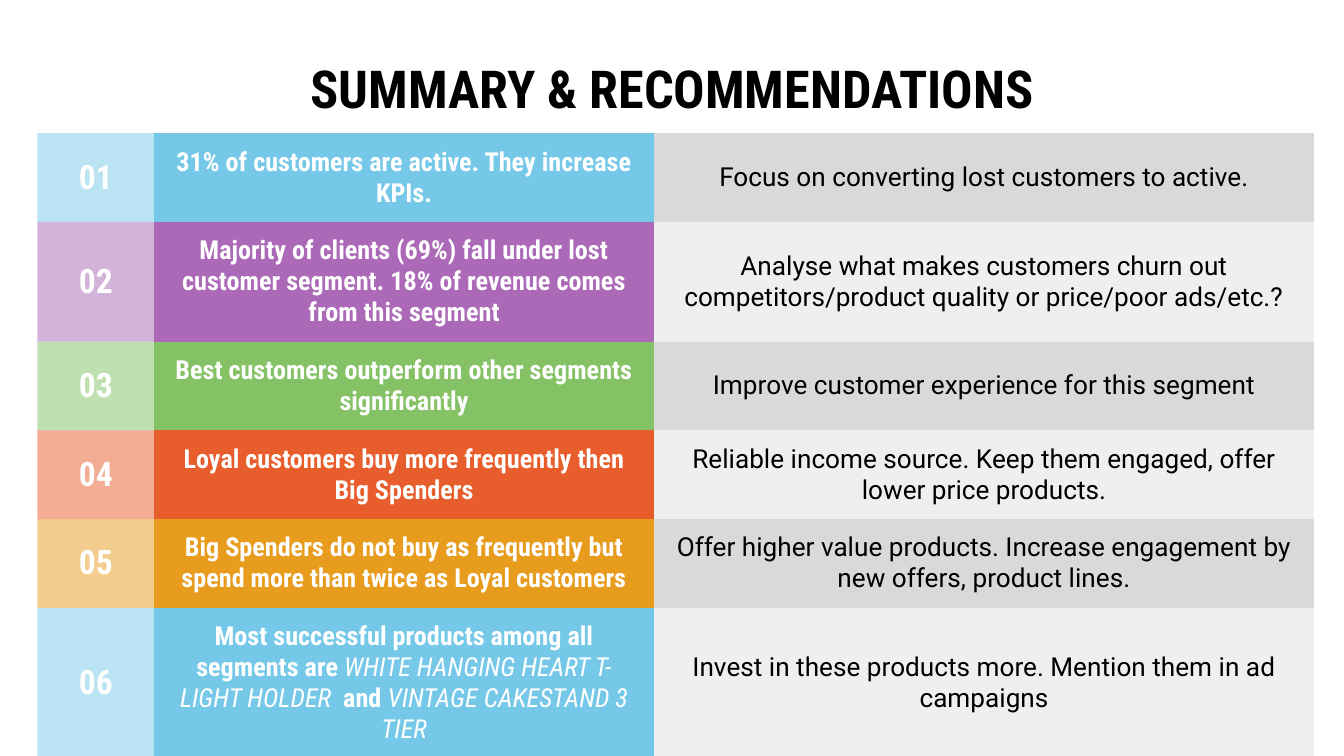
"""Build the summary and recommendations slide."""
from lxml import etree
from pptx import Presentation
from pptx import util as u
from pptx.dml import color
from pptx.enum import text
from pptx.oxml import ns

COLORS = {
    "blue": "76C8E8", "purple": "AB69B8", "green": "85C265",
    "red": "E85D2C", "amber": "E89C1E", "dark_grey": "D9D9D9",
    "light_grey": "EFEFEF", "white": "FFFFFF", "black": "000000",
}
NO_GRID_STYLE = "{2D5ABB26-0587-4C30-8999-92F81FD0307C}"
HEADING_FONT, BODY_FONT = "Roboto Condensed", "Roboto"


def write(paragraph, words, size, font, ink, bold=False, italic=False):
    paragraph.alignment = text.PP_ALIGN.CENTER
    run = paragraph.add_run()
    run.text = words
    run.font.size = u.Pt(size)
    run.font.name = font
    run.font.bold = bold
    run.font.italic = italic
    run.font.color.rgb = color.RGBColor.from_string(COLORS[ink])


def paint(cell, shade, opacity=100):
    cell.margin_left = cell.margin_right = u.Pt(7.2)
    cell.margin_top = cell.margin_bottom = u.Pt(7.2)
    cell.vertical_anchor = text.MSO_ANCHOR.MIDDLE
    cell.fill.solid()
    cell.fill.fore_color.rgb = color.RGBColor.from_string(COLORS[shade])
    if opacity < 100:
        srgb = cell._tc.tcPr.find(".//" + ns.qn("a:srgbClr"))
        etree.SubElement(srgb, ns.qn("a:alpha"), val=str(opacity * 1000))


findings = [
    ("blue", 47.4, ["31% of customers are active. They increase KPIs."],
     "Focus on converting lost customers to active."),
    ("purple", 63.8, ["Majority of clients (69%) fall under lost customer segment. "
                      "18% of revenue comes from this segment"],
     "Analyse what makes customers churn out competitors/product quality or price/poor ads/etc.?"),
    ("green", 47.4, ["Best customers outperform other segments significantly"],
     "Improve customer experience for this segment"),
    ("red", 47.4, ["Loyal customers buy more frequently then Big Spenders"],
     "Reliable income source. Keep them engaged, offer lower price products."),
    ("amber", 47.4, ["Big Spenders do not buy as frequently but spend more than twice as Loyal customers"],
     "Offer higher value products. Increase engagement by new offers, product lines."),
    ("blue", 80, ["Most successful products among all segments are ",
                  "WHITE HANGING HEART T-LIGHT HOLDER  ", "and ", "VINTAGE CAKESTAND 3 TIER"],
     "Invest in these products more. Mention them in ad campaigns"),
]

deck = Presentation()
deck.slide_width, deck.slide_height = u.Pt(720), u.Pt(405)
slide = deck.slides.add_slide(deck.slide_layouts[5])

title = slide.shapes.title
title.left, title.top, title.width, title.height = u.Pt(36), u.Pt(32.4), u.Pt(648), u.Pt(29.5)
title_frame = title.text_frame
title_frame.auto_size = text.MSO_AUTO_SIZE.NONE
title_frame.vertical_anchor = text.MSO_ANCHOR.MIDDLE
title_frame.margin_left = title_frame.margin_right = u.Pt(7.2)
title_frame.margin_top = title_frame.margin_bottom = u.Pt(7.2)
write(title_frame.paragraphs[0], "SUMMARY & RECOMMENDATIONS", 28, HEADING_FONT, "black", bold=True)

header_height = 39
table_height = header_height + sum(finding[1] for finding in findings)
summary = slide.shapes.add_table(
    len(findings) + 1, 3, u.Pt(20), u.Pt(32.4), u.Pt(684), u.Pt(table_height)).table
summary.first_row = summary.horz_banding = False
summary._tbl.tblPr.find(ns.qn("a:tableStyleId")).text = NO_GRID_STYLE
for column, width in zip(summary.columns, (62.6, 267.8, 353.6)):
    column.width = u.Pt(width)

summary.rows[0].height = u.Pt(header_height)
summary.cell(0, 0).merge(summary.cell(0, 2))
summary.cell(0, 0).fill.background()

for number, (hue, height, finding, advice) in enumerate(findings, 1):
    summary.rows[number].height = u.Pt(height)
    number_cell, finding_cell, advice_cell = (summary.cell(number, col) for col in range(3))
    paint(number_cell, hue, opacity=50)
    paint(finding_cell, hue)
    paint(advice_cell, "dark_grey" if number % 2 else "light_grey")
    write(number_cell.text_frame.paragraphs[0], f"{number:02}", 18, HEADING_FONT, "white", bold=True)
    for position, words in enumerate(finding):
        is_product = position % 2 == 1
        write(finding_cell.text_frame.paragraphs[0], words, 14, HEADING_FONT, "white",
              bold=not is_product, italic=is_product)
    write(advice_cell.text_frame.paragraphs[0], advice, 14, BODY_FONT, "black")

deck.save("out.pptx")
